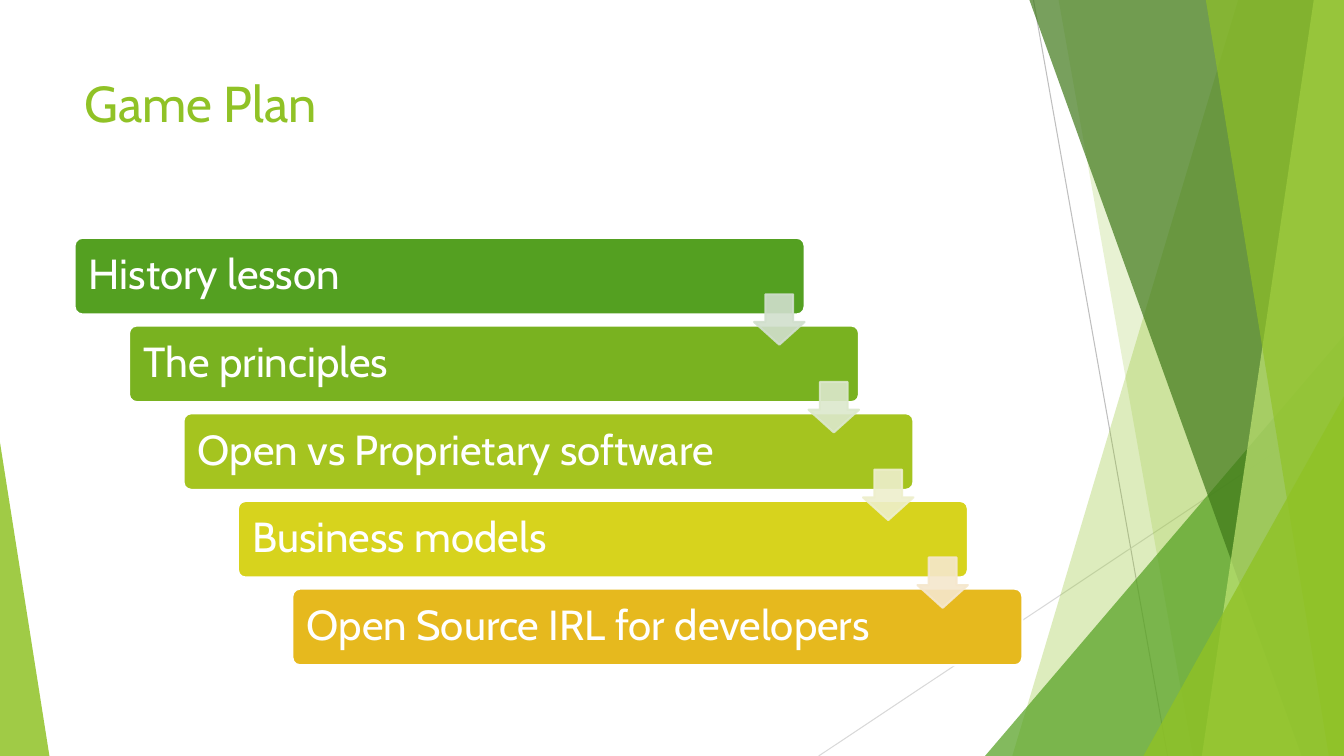
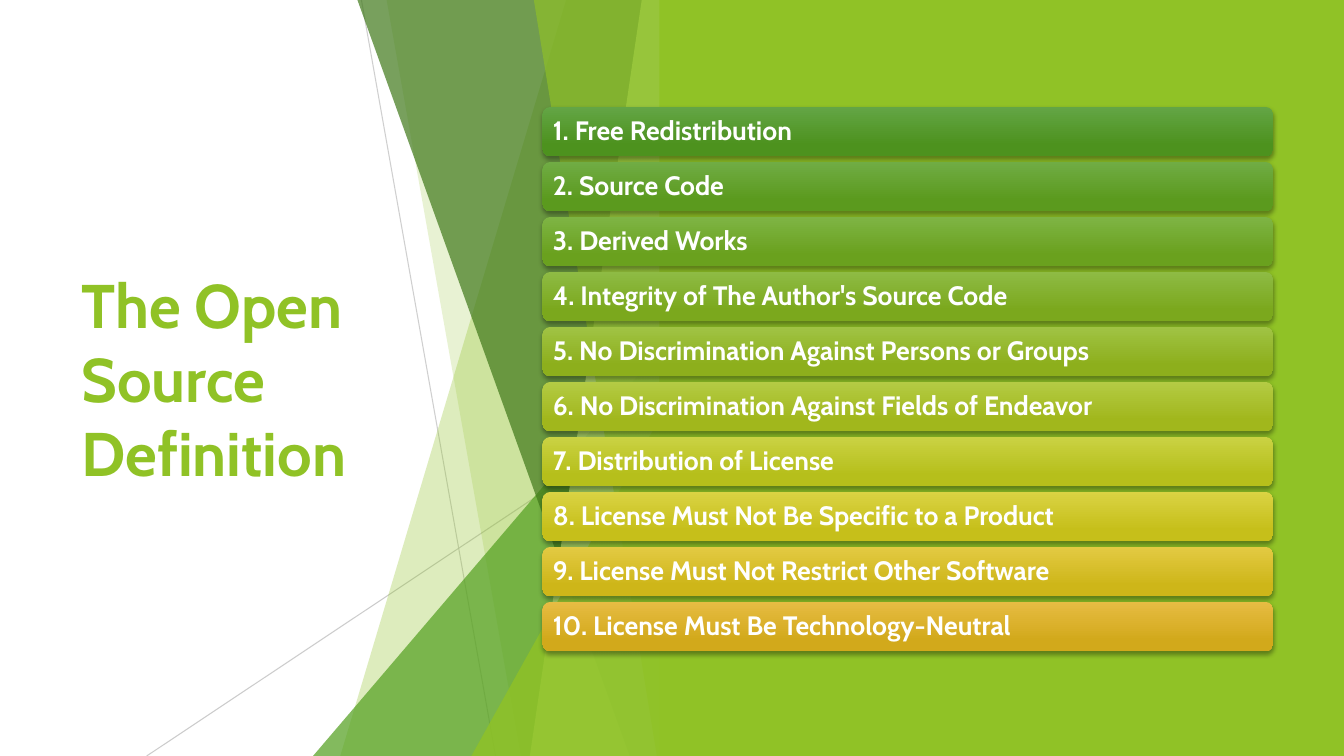
"""Build the two faceted slides: a stepped game plan and a ten-point definition."""
from lxml.etree import SubElement
from pptx import Presentation
from pptx.dml.color import RGBColor
from pptx.enum.shapes import MSO_CONNECTOR as Connector, MSO_SHAPE as Shape
from pptx.enum.text import MSO_ANCHOR as Anchor, PP_ALIGN as Align
from pptx.oxml.ns import qn
from pptx.util import Inches, Pt

WIDTH, HEIGHT = 13.33, 7.5
COLORS = {
    "white": "FFFFFF", "lime": "90C226", "green": "54A021", "forest": "3F7819",
    "pale": "C0E474", "gray": "BFBFBF", "silver": "D9D9D9", "black": "000000",
}

PLAN_TITLE = "Game Plan"
PLAN_STEPS = [
    ("History lesson", "54A021", "D1DFCD"),
    ("The principles", "79B220", "DCE8CC"),
    ("Open vs Proprietary software", "A5C41F", "EEEFCC"),
    ("Business models", "D7D31D", "F5E7CD"),
    ("Open Source IRL for developers", "E6B91E", None),
]
DEFINITION_TITLE = "The Open Source Definition"
CRITERIA = [
    ("Free Redistribution", "63A545", "4D921E"),
    ("Source Code", "70AC44", "5B9A1E"),
    ("Derived Works", "7EB444", "6AA11E"),
    ("Integrity of The Author's Source Code", "8EBB44", "7BA81D"),
    ("No Discrimination Against Persons or Groups", "A0C344", "8DAF1C"),
    ("No Discrimination Against Fields of Endeavor", "B4CB44", "A1B71C"),
    ("Distribution of License", "CAD243", "B6BF1B"),
    ("License Must Not Be Specific to a Product", "DAD343", "C6BF1A"),
    ("License Must Not Restrict Other Software", "E3CA43", "CEB619"),
    ("License Must Be Technology-Neutral", "E7BC43", "D2A91B"),
]

RAYS = [((10.25, 0), (11.58, HEIGHT)), ((WIDTH, 4.03), (8.12, HEIGHT))]
PLAN_RAYS = [("silver", 100), ("gray", 100)][::-1]
DEFINITION_RAYS = [("gray", 75), ("gray", 80)]
FACETS = [
    ("quad", 12.28, 10.04, "lime", 30),
    ("quad", 10.5, 11.83, "lime", 20),
    ("triangle", 9.77, 3.33, "green", 72),
    ("quad", 10.21, 12.91, "forest", 70),
    ("quad", 13.03, 11.92, "pale", 70),
    ("quad", 11.96, 13.18, "lime", 65),
    ("triangle", 11.34, 3.93, "lime", 80),
]
DEFINITION_SHIFT = -WIDTH / 2

TITLE_FONT = {"name": "Cabin", "color": "lime"}
BAR_FONT = {"name": "Cabin", "color": "white"}
MARGINS = ("margin_left", "margin_top", "margin_right", "margin_bottom")


def rgb(color):
    return RGBColor.from_string(COLORS.get(color, color))


def fade(part, alpha):
    if alpha < 100:
        for tint in part.element.spPr.iter(qn("a:srgbClr")):
            SubElement(tint, qn("a:alpha"), val=str(alpha * 1000))


def paint(part, color, alpha=100, outline=None):
    part.shadow.inherit = False
    part.fill.solid()
    part.fill.fore_color.rgb = rgb(color)
    if outline:
        part.line.color.rgb = rgb(outline)
        part.line.width = Pt(1.5)
    else:
        part.line.fill.background()
    fade(part, alpha)


def add_preset(slide, kind, box, adjustments=()):
    part = slide.shapes.add_shape(kind, *map(Inches, box))
    for position, share in enumerate(adjustments):
        part.adjustments[position] = share
    return part


def write(holder, text, font, anchor=Anchor.MIDDLE, inset=None, spacing=None):
    frame = holder.text_frame
    layout = {"word_wrap": True, "vertical_anchor": anchor}
    if inset:
        layout.update(dict.fromkeys(MARGINS, Inches(inset)))
    for key, setting in layout.items():
        setattr(frame, key, setting)
    paragraph = frame.paragraphs[0]
    paragraph.alignment = Align.LEFT
    if spacing:
        paragraph.line_spacing = spacing
    run = paragraph.add_run()
    run.text = text
    for key, setting in font.items():
        if key == "color":
            run.font.color.rgb = rgb(setting)
        else:
            setattr(run.font, key, setting)


def add_title(slide, text, box, anchor, **font):
    holder = slide.shapes.add_textbox(*map(Inches, box))
    write(holder, text, TITLE_FONT | font, anchor)


def add_facets(slide, ray_styles, shift=0):
    right = WIDTH + shift
    for (start, end), (color, alpha) in zip(RAYS, ray_styles):
        ray = slide.shapes.add_connector(
            Connector.STRAIGHT, Inches(start[0] + shift), Inches(start[1]),
            Inches(end[0] + shift), Inches(end[1]))
        ray.line.color.rgb = rgb(color)
        ray.line.width = Pt(0.75)
        fade(ray, alpha)
        SubElement(ray.element.spPr, qn("a:effectLst"))
    for kind, first, second, color, alpha in FACETS:
        if kind == "triangle":
            box = (first + shift, second, WIDTH - first, HEIGHT - second)
            facet = add_preset(slide, Shape.ISOSCELES_TRIANGLE, box, [1])
        else:
            corners = [(right, 0), (right, HEIGHT), (second + shift, HEIGHT)]
            outline = slide.shapes.build_freeform(Inches(first + shift), 0)
            outline.add_line_segments([(Inches(x), Inches(y)) for x, y in corners])
            facet = outline.convert_to_shape()
        paint(facet, color, alpha)


def build_plan(slide):
    add_facets(slide, PLAN_RAYS)
    corner = add_preset(slide, Shape.ISOSCELES_TRIANGLE, (0, 4.39, 0.49, 3.11), [0])
    paint(corner, "lime", 85)
    add_title(slide, PLAN_TITLE, (0.74, 0.67, 9.4, 1.44), Anchor.TOP, size=Pt(36))

    left, top, width, height = 0.74, 2.36, 7.24, 0.76
    step_x, step_y, arrow_size = 0.54, 0.87, 0.5
    for row, (label, color, _) in enumerate(PLAN_STEPS):
        box = (left + row * step_x, top + row * step_y, width, height)
        bar = add_preset(slide, Shape.ROUNDED_RECTANGLE, box, [0.1])
        paint(bar, color, outline="white")
        write(bar, label, BAR_FONT | {"size": Pt(30)}, inset=0.12, spacing=0.9)
    for row, (_, _, tint) in enumerate(PLAN_STEPS[:-1]):
        box = (left + width - arrow_size + row * step_x, 2.92 + row * step_y,
               arrow_size, arrow_size)
        arrow = add_preset(slide, Shape.DOWN_ARROW, box, [0.55, 0.45])
        paint(arrow, tint, 90, outline=tint)


def add_glossy_bar(slide, box, light, dark):
    bar = add_preset(slide, Shape.ROUNDED_RECTANGLE, box)
    paint(bar, dark)
    bar.fill.gradient()
    bar.fill.gradient_angle = 270
    for stop, color, position in zip(bar.fill.gradient_stops, (light, dark), (0, 0.78)):
        stop.color.rgb = rgb(color)
        stop.position = position
    effects = bar.element.spPr.find(qn("a:effectLst"))
    shadow = SubElement(effects, qn("a:outerShdw"), blurRad=str(Pt(3)),
                        dist=str(Pt(2)), dir="5400000", rotWithShape="0")
    tint = SubElement(shadow, qn("a:srgbClr"), val=COLORS["black"])
    SubElement(tint, qn("a:alpha"), val="35000")
    return bar


def build_definition(slide):
    add_title(slide, DEFINITION_TITLE, (0.71, 1.51, 3.88, 4.48), Anchor.MIDDLE,
              size=Pt(44), bold=True)
    add_facets(slide, DEFINITION_RAYS, DEFINITION_SHIFT)
    panel_left = 6.54
    panel = add_preset(slide, Shape.RECTANGLE,
                       (panel_left, 0, WIDTH - panel_left, HEIGHT))
    paint(panel, "lime")

    first_top, last_top = 1.06, 5.97
    pitch = (last_top - first_top) / (len(CRITERIA) - 1)
    for row, (label, light, dark) in enumerate(CRITERIA):
        bar = add_glossy_bar(slide, (5.38, first_top + row * pitch, 7.25, 0.49),
                             light, dark)
        write(bar, f"{row + 1}. {label}", BAR_FONT | {"size": Pt(19), "bold": True},
              inset=0.08, spacing=0.9)


def main():
    deck = Presentation()
    deck.slide_width, deck.slide_height = Inches(WIDTH), Inches(HEIGHT)
    for build in (build_plan, build_definition):
        build(deck.slides.add_slide(deck.slide_layouts[6]))
    deck.save("out.pptx")


if __name__ == "__main__":
    main()
